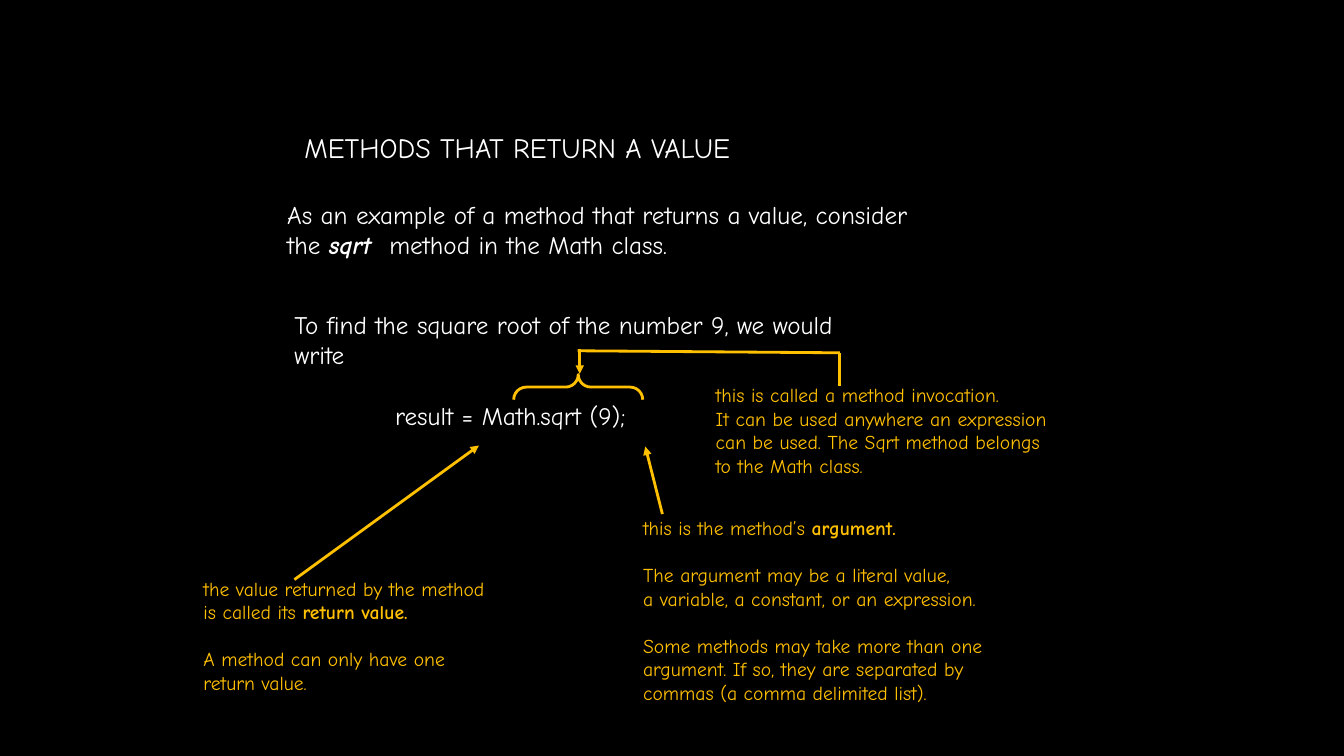
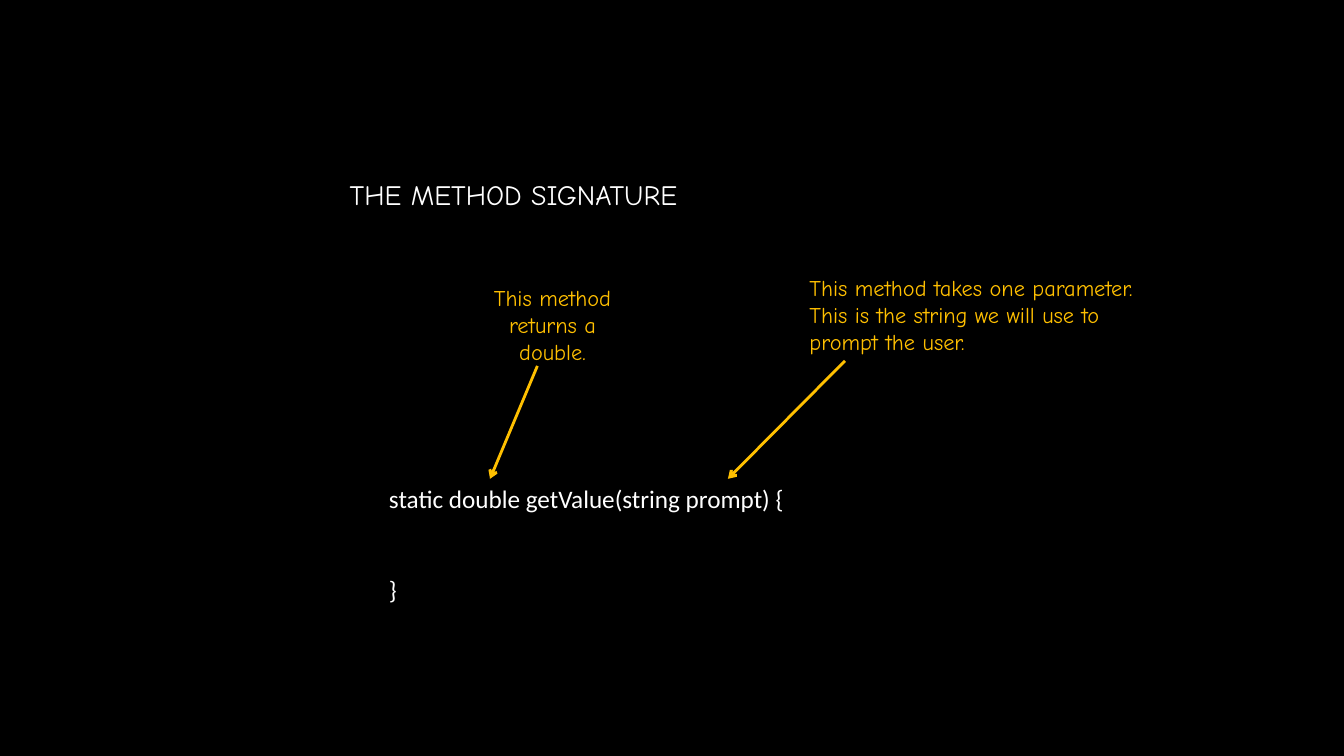
from pptx import Presentation
from pptx.dml.color import RGBColor
from pptx.enum.shapes import MSO_CONNECTOR as Connector, MSO_SHAPE as Shape
from pptx.enum.text import MSO_ANCHOR as Anchor, PP_ALIGN as Align
from pptx.oxml.ns import qn
from pptx.util import Inches, Pt
from lxml.etree import SubElement


def color(value):
    """Turn a hex string into a colour."""
    return RGBColor.from_string(value)


def write_text(frame, lines, size, ink, font, align=Align.LEFT, gaps=None, indents=None):
    """Write lines of (text, bold, italic) runs; gaps are in text lines, indents in inches."""
    gaps, indents = gaps or {}, indents or {}
    for index, line in enumerate(lines):
        paragraph = frame.add_paragraph() if index else frame.paragraphs[0]
        paragraph.alignment = align
        if index in gaps:
            paragraph.space_before = Pt(round(gaps[index] * size * 1.2, 1))
        if index in indents:
            properties = paragraph._p.get_or_add_pPr()
            properties.set("marL", str(Inches(indents[index])))
            properties.set("indent", "0")
        for text, bold, italic in [(line, False, False)] if isinstance(line, str) else line:
            run = paragraph.add_run()
            run.text = text
            run.font.name, run.font.size = font, Pt(size)
            run.font.bold, run.font.italic = bold, italic
            run.font.color.rgb = color(ink)


class Deck:
    """Hold the shared style and the current slide."""

    BACKGROUND, WHITE, ACCENT = "000000", "FFFFFF", "FFC000"
    FONT, CODE_FONT = "Comic Neue", "Calibri"
    LINE_WIDTH = 2

    def __init__(self):
        """Create the presentation with its size and background."""
        self.presentation = Presentation()
        self.presentation.slide_width = Inches(13.33)
        self.presentation.slide_height = Inches(7.5)
        fill = self.presentation.slide_master.background.fill
        fill.solid()
        fill.fore_color.rgb = color(self.BACKGROUND)
        self.slide = None

    def add_slide(self, title, left, top, width, height):
        """Start a slide with a title."""
        self.slide = self.presentation.slides.add_slide(self.presentation.slide_layouts[6])
        self.text([title], left, top, width, height, size=20, anchor=Anchor.MIDDLE)

    def text(self, lines, left, top, width, height, size=18, ink=WHITE, font=FONT,
             anchor=Anchor.TOP, **layout):
        """Add a text box."""
        box = self.slide.shapes.add_textbox(
            Inches(left), Inches(top), Inches(width), Inches(height))
        frame = box.text_frame
        frame.word_wrap = True
        frame.vertical_anchor = anchor
        write_text(frame, lines, size, ink, font, **layout)

    def note(self, lines, left, top, width, height, size=14, **layout):
        """Add an annotation in the accent colour."""
        self.text(lines, left, top, width, height, size=size, ink=self.ACCENT, **layout)

    def outline(self, line):
        """Give a line the accent stroke."""
        line.color.rgb = color(self.ACCENT)
        line.width = Pt(self.LINE_WIDTH)

    def line(self, start, end, head=None):
        """Add a straight line, with an arrowhead at its end if one is named."""
        connector = self.slide.shapes.add_connector(
            Connector.STRAIGHT, *(Inches(value) for value in (*start, *end)))
        self.outline(connector.line)
        if head:
            SubElement(connector.line._get_or_add_ln(), qn("a:tailEnd"), type=head)
        SubElement(connector._element.spPr, qn("a:effectLst"))

    def brace(self, left, top, width, height):
        """Add a brace that points up."""
        shape = self.slide.shapes.add_shape(
            Shape.RIGHT_BRACE, Inches(left), Inches(top), Inches(width), Inches(height))
        shape.rotation = 270
        shape.adjustments[0] = shape.adjustments[1] = 0.5
        shape.shadow.inherit = False
        shape.fill.background()
        self.outline(shape.line)


def build_return_value(deck):
    """Build the slide on methods that return a value."""
    deck.add_slide("METHODS THAT RETURN A VALUE", 2.92, 1, 5.63, 0.93)
    deck.text(["As an example of a method that returns a value, consider",
               [("the ", False, False), ("sqrt  ", True, True),
                ("method in the Math class.", False, False)]],
              2.75, 1.93, 6.94, 0.71)
    deck.text(["To find the square root of the number 9, we would", "write",
               "result = Math.sqrt (9);"],
              2.82, 3.02, 6.15, 1.31, gaps={2: 1}, indents={2: 1})
    deck.note([[("this is the method’s ", False, False), ("argument.", True, False)],
               "The argument may be a literal value,",
               "a variable, a constant, or an expression.",
               "Some methods may take more than one",
               "argument. If so, they are separated by",
               "commas (a comma delimited list)."],
              6.28, 5.07, 3.81, 1.99, gaps={1: 1, 3: 1})
    deck.line((6.57, 5.1), (6.4, 4.43), "triangle")
    deck.note(["the value returned by the method",
               [("is called its ", False, False), ("return value.", True, False)],
               "A method can only have one", "return value."],
              1.92, 5.67, 3.3, 1.28, gaps={2: 1})
    deck.brace(5.61, 3.2, 0.25, 1.28)
    deck.line((5.75, 3.46), (5.75, 3.71), "triangle")
    deck.line((5.73, 3.48), (8.33, 3.5))
    deck.line((8.33, 3.5), (8.33, 3.83))
    deck.note(["this is called a method invocation.",
               "It can be used anywhere an expression",
               "can be used. The Sqrt method belongs", "to the Math class."],
              7, 3.75, 3.75, 1.04)
    deck.line((2.92, 5.75), (4.75, 4.42), "triangle")


def build_signature(deck):
    """Build the slide on the method signature."""
    deck.add_slide("THE METHOD SIGNATURE", 3.37, 1.71, 3.93, 0.44)
    deck.text(["static double getValue(string prompt) {", "}"],
              3.76, 4.75, 4.17, 1.31, font=deck.CODE_FONT, gaps={1: 2})
    deck.note(["This method", "returns a", "double."],
              4.73, 2.77, 1.5, 0.91, size=16, align=Align.CENTER)
    deck.line((5.33, 3.63), (4.86, 4.75), "arrow")
    deck.note(["This method takes one parameter.",
               "This is the string we will use to", "prompt the user."],
              7.93, 2.67, 3.78, 0.91, size=16)
    deck.line((8.38, 3.58), (7.22, 4.75), "arrow")


def main():
    """Build and save the presentation."""
    deck = Deck()
    build_return_value(deck)
    build_signature(deck)
    deck.presentation.save("out.pptx")


if __name__ == "__main__":
    main()
